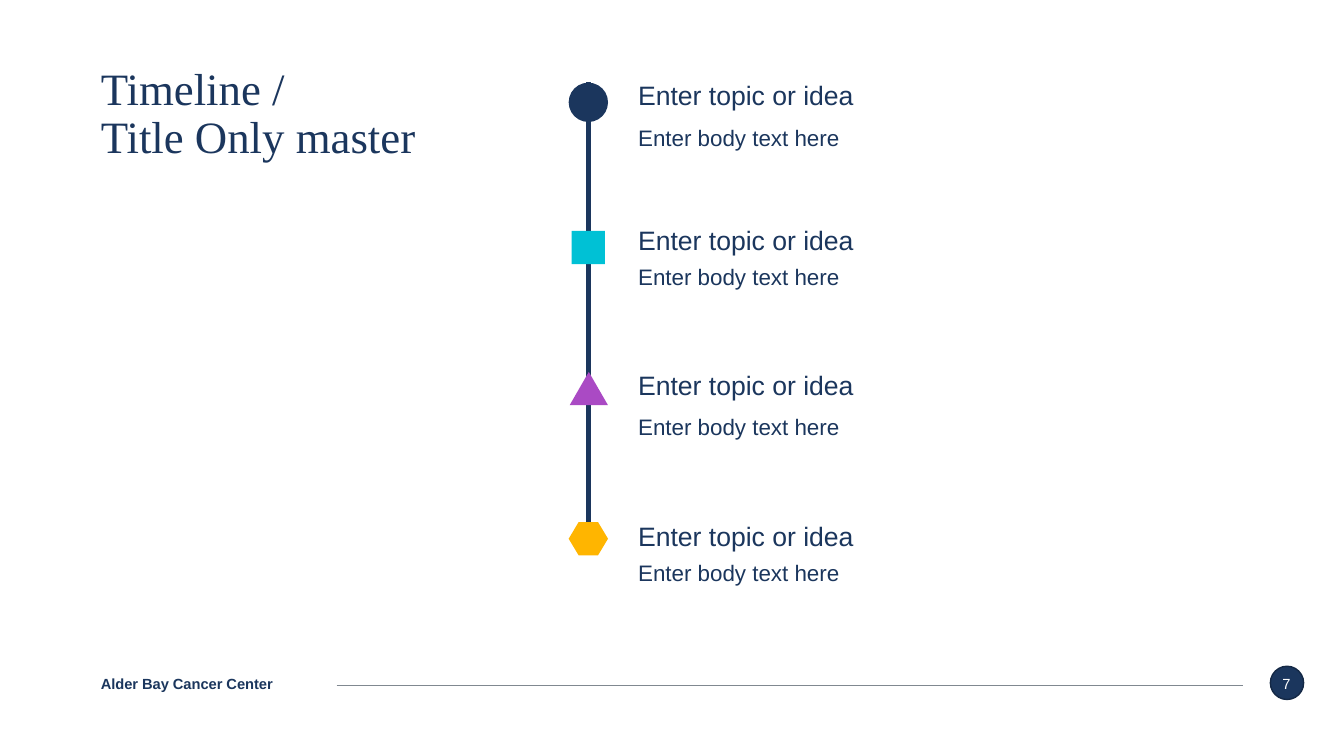
from pptx import Presentation
from pptx.dml.color import RGBColor
from pptx.enum.shapes import MSO_CONNECTOR, MSO_SHAPE
from pptx.enum.text import MSO_ANCHOR, MSO_AUTO_SIZE, PP_ALIGN
from pptx.util import Pt
from lxml.etree import SubElement
from pptx.oxml.ns import qn

PX = 9144
NAVY = "1B365D"


def set_text(sp, box, text, size, color=NAVY, font="Arial", spacing=1.0,
             anchor=MSO_ANCHOR.TOP, align=PP_ALIGN.LEFT, bold=False):
    sp.left, sp.top, sp.width, sp.height = [v * PX for v in box]
    tf = sp.text_frame
    tf.word_wrap = True
    tf.auto_size = MSO_AUTO_SIZE.NONE
    tf.vertical_anchor = anchor
    tf.margin_left = tf.margin_right = tf.margin_top = tf.margin_bottom = 0
    p = tf.paragraphs[0]
    p.text = text
    p.alignment = align
    p.line_spacing = spacing
    p.font.size = Pt(size)
    p.font.name = font
    p.font.bold = bold
    p.font.color.rgb = RGBColor.from_string(color)


def add_marker(kind, box, fill, line=None, width=0.75):
    sp = s.shapes.add_shape(kind, *[v * PX for v in box])
    sp.shadow.inherit = False
    sp.fill.solid()
    sp.fill.fore_color.rgb = RGBColor.from_string(fill)
    if line:
        sp.line.color.rgb = RGBColor.from_string(line)
        sp.line.width = Pt(width)
    else:
        sp.line.fill.background()
    return sp


prs = Presentation()
prs.slide_width, prs.slide_height = 1333 * PX, 750 * PX
s = prs.slides.add_slide(prs.slide_layouts[5])

set_text(s.shapes.title, (100, 66, 442, 215), "Timeline / \vTitle Only master", 32,
         font="Times New Roman", spacing=0.9)

add_marker(MSO_SHAPE.OVAL, (1260, 661, 33, 33), NAVY, "142845", 1)
set_text(s.shapes.add_textbox(0, 0, 0, 0), (1251, 658, 50, 40), "7", 10.5, "FFFFFF",
         anchor=MSO_ANCHOR.MIDDLE, align=PP_ALIGN.CENTER)
set_text(s.shapes.add_textbox(0, 0, 0, 0), (100, 658, 327, 40), "Alder Bay Cancer Center", 10.5,
         anchor=MSO_ANCHOR.MIDDLE, bold=True)
rule = s.shapes.add_connector(MSO_CONNECTOR.STRAIGHT, 334 * PX, 680 * PX, 1233 * PX, 680 * PX)
rule.line.color.rgb = RGBColor.from_string("808890")
rule.line.width = Pt(0.75)
SubElement(rule._element.spPr, qn("a:effectLst"))

add_marker(MSO_SHAPE.RECTANGLE, (582, 82, 4, 453), NAVY, NAVY)

steps = [
    (MSO_SHAPE.OVAL, (564, 82, 39, 39), NAVY, 82, 120),
    (MSO_SHAPE.RECTANGLE, (567, 229, 33, 33), "00C1D5", 226, 258),
    (MSO_SHAPE.ISOSCELES_TRIANGLE, (565, 369, 38, 33), "AA4AC4", 370, 407),
    (MSO_SHAPE.HEXAGON, (564, 518, 39, 33), "FFB500", 519, 552),
]
for kind, box, color, topic_top, body_top in steps:
    marker = add_marker(kind, box, color)
    if kind == MSO_SHAPE.HEXAGON:
        marker.adjustments[0] = 0.3
    set_text(s.shapes.add_textbox(0, 0, 0, 0), (633, topic_top, 600, 47),
             "Enter topic or idea", 19, spacing=0.9)
    set_text(s.shapes.add_textbox(0, 0, 0, 0), (633, body_top, 600, 88),
             "Enter body text here", 16, spacing=1.1)

prs.save("out.pptx")
